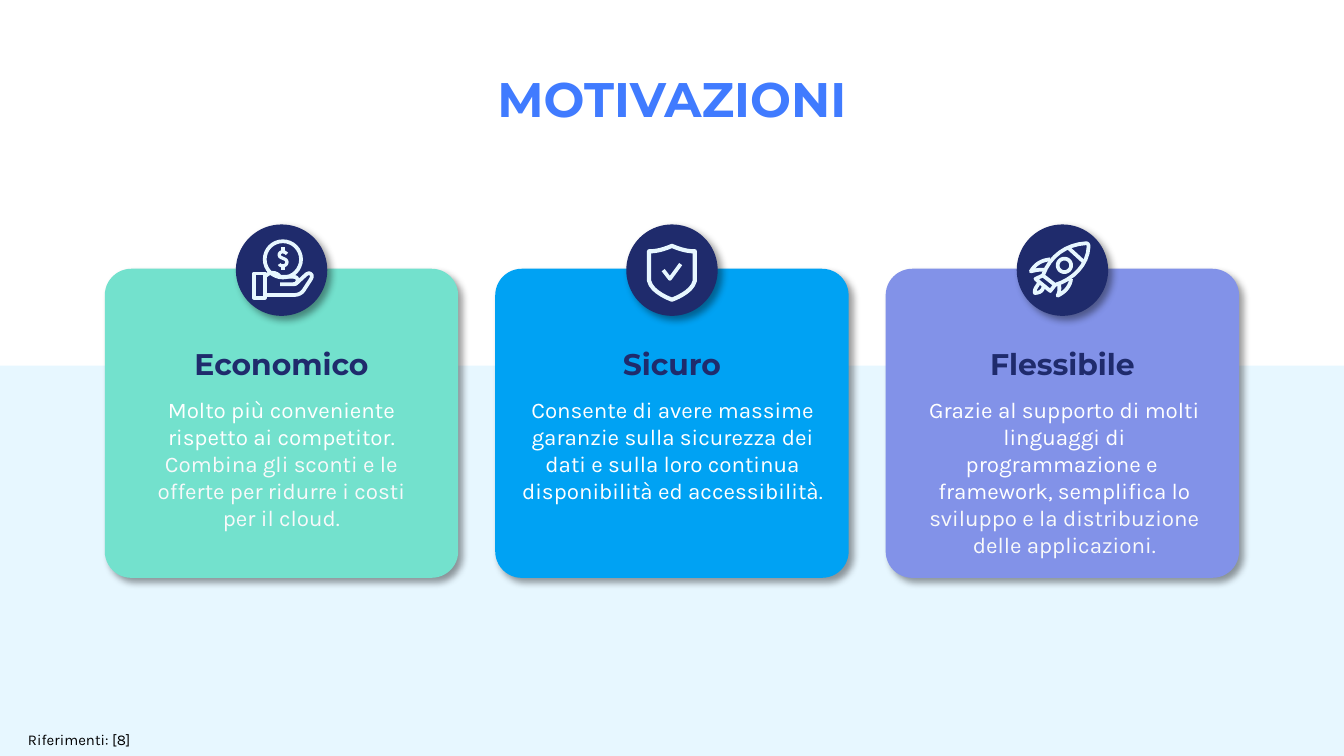
from lxml.etree import SubElement
from pptx import Presentation
from pptx.dml.color import RGBColor
from pptx.enum.shapes import MSO_SHAPE
from pptx.enum.text import MSO_ANCHOR, PP_ALIGN
from pptx.oxml.ns import qn
from pptx.util import Inches, Pt

WIDTH = 10
HEIGHT = WIDTH * 9 / 16
COLORS = {
    "title": "407BFF", "navy": "1F2B6C", "pale": "E7F7FF", "white": "FFFFFF",
    "off_white": "F8F9FA", "black": "000000",
    "mint": "73E1CD", "blue": "00A2F3", "violet": "8292E8",
}
HEADING_FONT, BODY_FONT = "Montserrat", "Karla"


def ring(x, y, radius):
    """Return a circle as path text."""
    k = radius * 0.55
    return (f"M {x} {y - radius} "
            f"C {x + k} {y - radius} {x + radius} {y - k} {x + radius} {y} "
            f"C {x + radius} {y + k} {x + k} {y + radius} {x} {y + radius} "
            f"C {x - k} {y + radius} {x - radius} {y + k} {x - radius} {y} "
            f"C {x - radius} {y - k} {x - k} {y - radius} {x} {y - radius} Z ")


# Icon strokes: hundredths of an inch from the badge centre, with line weight
HAND = [
    (ring(1, -8, 13.5) +
     "M -20.5 2.5 L -12.5 2.5 L -12.5 20.5 L -20.5 20.5 Z "
     "M -12.5 5 C -9 1 -4 1 -1 5 L 9 5 C 13 5 13 10 9 10.5 "
     "M -1 10.5 L 9 10.5 C 9 10.5 10.5 10.5 11.5 9.5 L 18 3.5 "
     "C 20.5 1 24 3 22 6.5 L 16.5 15 C 15 17 13 18.5 9 18.5 L -12.5 18.5", 2),
    ("M 4 -12 C 2 -14.5 -2 -14 -1.7 -11 C -1.5 -8.5 4 -9 4 -6 "
     "C 4 -2.5 -1 -2.5 -1.7 -4.5 M 1 -17 L 1 -13.5 M 1 -3 L 1 0", 1.75),
]
SHIELD = [
    ("M 0 -18 C -9 -14 -14 -14 -17 -14 L -17 8 C -15 17 0 22 0 22 "
     "C 0 22 15 17 17 8 L 17 -14 C 14 -14 9 -14 0 -18 Z", 2.25),
    ("M -6.5 0 L -1.5 6.5 L 6.5 -4.5", 2),
]
ROCKET = [
    ("M 19.5 -17.5 C 19.5 -19 19 -20 17.5 -20 C 3 -19 -9 -11 -14.5 4 "
     "L -5.5 11 C 8 7 19 -4 19.5 -17.5 Z M 4 -17 L 16 -6 "
     "M -9 -8 C -15 -7.5 -20 -5 -23.5 1 C -20 0 -17 -0.5 -13 -0.3 "
     "M 6.5 6.5 C 6 11 3 16 -3.5 19 C -2 16 -2 14 -2.5 10.5 "
     "M -14.5 4 L -20 6.5 L -9 15.5 L -5.5 11 "
     "M -17.5 9 C -18 12 -21 13 -20.5 17 C -17 17 -14.5 15.5 -14 12", 2),
    (ring(1.5, -3.5, 5), 2),
]

CARDS = [
    {"heading": "Economico", "fill": "mint", "icon": HAND,
     "body_left": 0.96, "body_width": 2.27,
     "body": [("Molto più conveniente rispetto ai competitor. ", "white"),
              ("Combina gli sconti e le offerte per ridurre i costi per il cloud.",
               "off_white")]},
    {"heading": "Sicuro", "fill": "blue", "icon": SHIELD,
     "body_left": 3.78, "body_width": 2.45,
     "body": [("Consente di avere massime garanzie sulla sicurezza dei dati e "
               "sulla loro continua disponibilità ed accessibilità.", "white")]},
    {"heading": "Flessibile", "fill": "violet", "icon": ROCKET,
     "body_left": 6.7, "body_width": 2.44,
     "body": [("Grazie al supporto di molti linguaggi di programmazione e  "
               "framework, semplifica lo ", "white"),
              ("sviluppo e la distribuzione delle applicazioni.", "off_white")]},
]
MARGIN, CARD_TOP, CARD_WIDTH, CARD_HEIGHT = 0.78, 2, 2.63, 2.3
BADGE = 0.68
PITCH = (WIDTH - 2 * MARGIN - CARD_WIDTH) / (len(CARDS) - 1)


def color(name):
    return RGBColor.from_string(COLORS[name])


def add_block(slide, kind, box, fill, shadow=False):
    shape = slide.shapes.add_shape(kind, *map(Inches, box))
    shape.shadow.inherit = False
    shape.fill.solid()
    shape.fill.fore_color.rgb = color(fill)
    shape.line.fill.background()
    if shadow:
        effects = shape.element.spPr.find(qn("a:effectLst"))
        outer = SubElement(effects, qn("a:outerShdw"), blurRad=str(Pt(4)),
                           dist=str(Pt(3)), dir="2700000", algn="bl", rotWithShape="0")
        tone = SubElement(outer, qn("a:srgbClr"), val=COLORS["black"])
        SubElement(tone, qn("a:alpha"), val="40000")
    return shape


def write(shape, runs, font, size, bold=False, align=PP_ALIGN.CENTER, inset=0.1):
    frame = shape.text_frame
    frame.word_wrap = True
    frame.vertical_anchor = MSO_ANCHOR.TOP
    frame.margin_left = frame.margin_right = Inches(0.1)
    frame.margin_top = frame.margin_bottom = Inches(inset)
    paragraph = frame.paragraphs[0]
    paragraph.alignment = align
    for text, tone in runs:
        run = paragraph.add_run()
        run.text = text
        run.font.name, run.font.size, run.font.bold = font, Pt(size), bold
        run.font.color.rgb = color(tone)


def add_text(slide, box, runs, font, size, **style):
    write(slide.shapes.add_textbox(*map(Inches, box)), runs, font, size, **style)


def contours(path, steps=8):
    """Flatten path text into (points, closed) pairs."""
    for part in path.split("M")[1:]:
        closed = "Z" in part
        segments = part.replace("Z", "").replace("L", "|").replace("C", "|").split("|")
        points = []
        for segment in segments:
            values = [float(value) for value in segment.split()]
            pairs = list(zip(values[::2], values[1::2]))
            if len(pairs) == 1:
                points += pairs
                continue
            curve = list(zip(*[points[-1], *pairs]))
            for step in range(1, steps + 1):
                t = step / steps
                weights = ((1 - t) ** 3, 3 * t * (1 - t) ** 2, 3 * t * t * (1 - t), t ** 3)
                points.append(tuple(sum(w * v for w, v in zip(weights, axis))
                                    for axis in curve))
        yield points, closed


def add_icon(slide, icon, center_x, center_y):
    group = slide.shapes.add_group_shape()
    for path, weight in icon:
        builder = None
        for points, closed in contours(path):
            placed = [(Inches(center_x + x / 100), Inches(center_y + y / 100))
                      for x, y in points]
            if builder is None:
                builder = group.shapes.build_freeform(*placed[0])
            else:
                builder.move_to(*placed[0])
            builder.add_line_segments(placed[1:], close=closed)
        shape = builder.convert_to_shape()
        shape.shadow.inherit = False
        shape.fill.background()
        shape.line.color.rgb = color("pale")
        shape.line.width = Pt(weight)


def add_card(slide, index, card):
    left = MARGIN + index * PITCH
    center = left + CARD_WIDTH / 2
    block = add_block(slide, MSO_SHAPE.ROUNDED_RECTANGLE,
                      (left, CARD_TOP, CARD_WIDTH, CARD_HEIGHT), card["fill"], True)
    block.adjustments[0] = 0.086
    add_block(slide, MSO_SHAPE.OVAL,
              (center - BADGE / 2, CARD_TOP - BADGE / 2 + 0.01, BADGE, BADGE), "navy", True)
    add_icon(slide, card["icon"], center, CARD_TOP + 0.01)
    add_text(slide, (center - 2.27 / 2, 2.47, 2.27, 0.46),
             [(card["heading"], "navy")], HEADING_FONT, 16, bold=True)
    add_text(slide, (card["body_left"], 2.85, card["body_width"], 1.17),
             card["body"], BODY_FONT, 12)


def main():
    presentation = Presentation()
    presentation.slide_width, presentation.slide_height = Inches(WIDTH), Inches(HEIGHT)
    slide = presentation.slides.add_slide(presentation.slide_layouts[5])
    add_block(slide, MSO_SHAPE.RECTANGLE, (0, 2.72, WIDTH, HEIGHT - 2.72), "pale")
    title = slide.shapes.title
    title.left, title.top = Inches(MARGIN), Inches(0.41)
    title.width, title.height = Inches(WIDTH - 2 * MARGIN), Inches(0.63)
    write(title, [("MOTIVAZIONI", "title")], HEADING_FONT, 26, bold=True)
    for index, card in enumerate(CARDS):
        add_card(slide, index, card)
    add_text(slide, (0.11, 5.39, 2.29, 0.24), [("Riferimenti: [8]", "black")],
             BODY_FONT, 8, align=PP_ALIGN.LEFT, inset=0.05)
    presentation.save("out.pptx")


if __name__ == "__main__":
    main()
